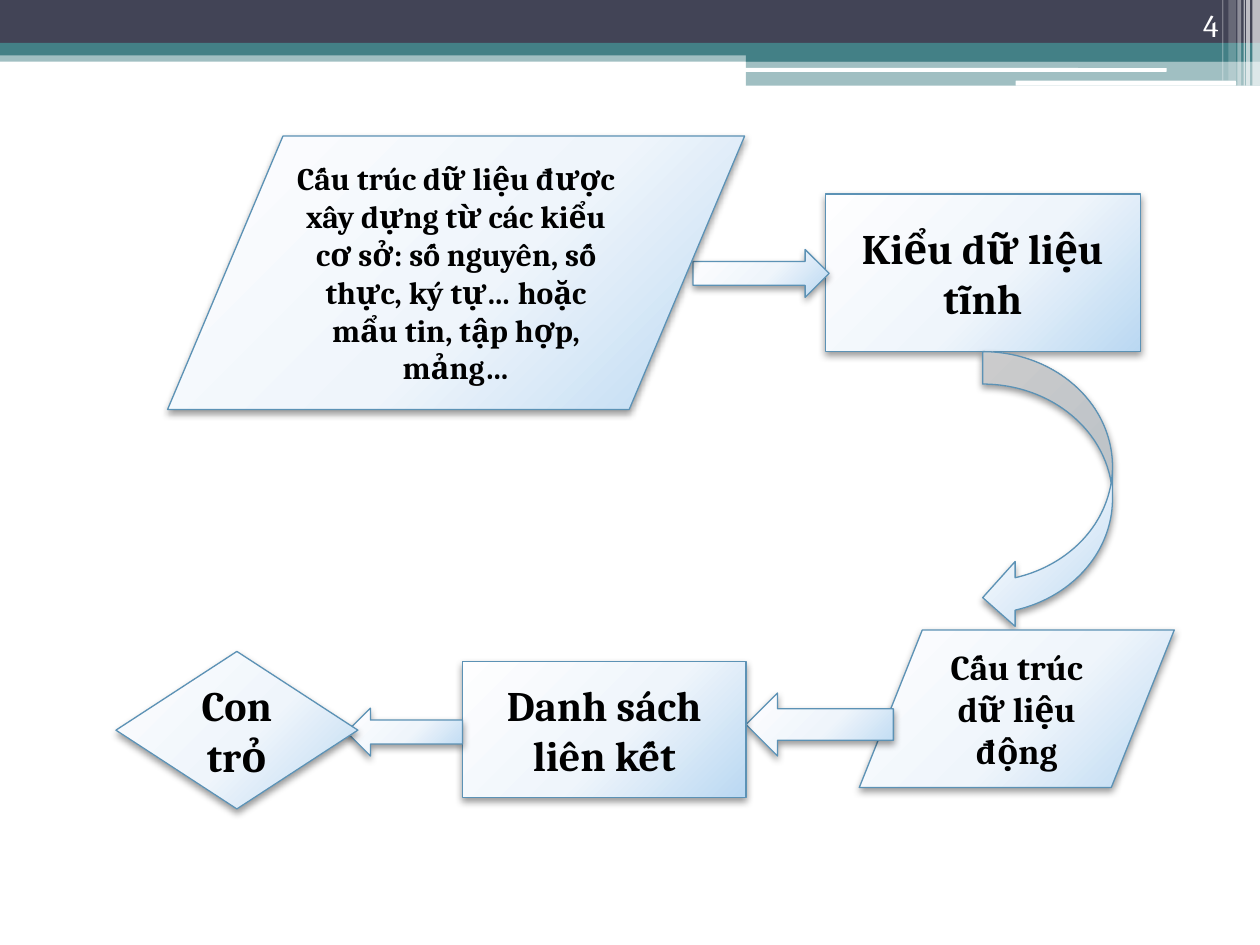
"""Builds a flow slide on static and dynamic data structures."""
import lxml.etree
import pptx
import pptx.dml.color
import pptx.enum.shapes
import pptx.enum.text
import pptx.oxml
import pptx.oxml.ns
import pptx.util

Inches = pptx.util.Inches
Pt = pptx.util.Pt
RGBColor = pptx.dml.color.RGBColor
SHAPE = pptx.enum.shapes.MSO_SHAPE
ALIGN = pptx.enum.text.PP_ALIGN
ANCHOR = pptx.enum.text.MSO_ANCHOR
qn = pptx.oxml.ns.qn

SLATE = RGBColor(0x42, 0x44, 0x56)
TEAL = RGBColor(0x43, 0x80, 0x86)
WHITE = RGBColor(0xFF, 0xFF, 0xFF)
BLACK = RGBColor(0, 0, 0)
OUTLINE = RGBColor(0x5C, 0x92, 0xB5)
GLOW = [(0, RGBColor(0xFE, 0xFE, 0xFF)), (55, RGBColor(0xEF, 0xF5, 0xFB)),
        (100, RGBColor(0xBA, 0xD8, 0xF2))]


class FlowSlide:
    """Holds the style and the current slide."""

    font = "Cambria"

    def __init__(self, slide):
        self.slide = slide

    def add(self, kind, at):
        shape = self.slide.shapes.add_shape(kind, *map(Inches, at))
        shape.shadow.inherit = False
        return shape

    def band(self, at, color, opacity=100, kind=SHAPE.RECTANGLE):
        band = self.add(kind, at)
        band.fill.solid()
        band.fill.fore_color.rgb = color
        band.line.fill.background()
        if opacity < 100:
            tint = band._element.spPr.find(".//" + qn("a:srgbClr"))
            lxml.etree.SubElement(tint, qn("a:alpha"), val=str(opacity * 1000))

    def step(self, kind, at, text="", size=24, rotation=0, flipped=False):
        step = self.add(kind, at)
        step.rotation = rotation
        step.line.color.rgb = OUTLINE
        step.line.width = Pt(0.75)
        properties = step._element.spPr
        if flipped:
            properties.xfrm.set("flipH", "1")
            properties.xfrm.set("flipV", "1")
        self.glow(properties)
        self.drop_shadow(properties)
        if text:
            self.label(step, text, size, BLACK, ALIGN.CENTER, ANCHOR.MIDDLE, True)

    def glow(self, properties):
        stops = "".join(f'<a:gs pos="{place * 1000}"><a:srgbClr val="{color}"/></a:gs>'
                        for place, color in GLOW)
        properties.find(qn("a:prstGeom")).addnext(pptx.oxml.parse_xml(
            f'<a:gradFill {pptx.oxml.ns.nsdecls("a")} rotWithShape="1"><a:gsLst>{stops}</a:gsLst>'
            '<a:path path="circle"><a:fillToRect l="-40000" t="-90000" r="140000" b="190000"/>'
            '</a:path></a:gradFill>'))

    def drop_shadow(self, properties):
        properties.find(qn("a:effectLst")).append(pptx.oxml.parse_xml(
            f'<a:outerShdw {pptx.oxml.ns.nsdecls("a")} blurRad="{Pt(4.1)}" dist="{Pt(2)}" '
            'dir="5400000" rotWithShape="0"><a:srgbClr val="000000"><a:alpha val="40000"/>'
            '</a:srgbClr></a:outerShdw>'))

    def label(self, shape, text, size, color, align, anchor, bold=False):
        frame = shape.text_frame
        frame.word_wrap = True
        frame.vertical_anchor = anchor
        paragraph = frame.paragraphs[0]
        paragraph.text = text
        paragraph.alignment = align
        paragraph.font.name = self.font
        paragraph.font.size = Pt(size)
        paragraph.font.bold = bold
        paragraph.font.color.rgb = color

    def page_number(self, at, text):
        number = self.slide.shapes.add_textbox(*map(Inches, at))
        self.label(number, text, 18, WHITE, ALIGN.RIGHT, ANCHOR.BOTTOM)


def main():
    deck = pptx.Presentation()
    deck.slide_width, deck.slide_height = Inches(10), Inches(7.5)
    flow = FlowSlide(deck.slides.add_slide(deck.slide_layouts[6]))

    flow.band((0, 0.4, 10, 0.09), TEAL, 50)
    flow.band((0, 0, 10, 0.34), SLATE)
    flow.band((0, 0.34, 10, 0.1), TEAL)
    flow.band((5.92, 0.39, 4.08, 0.1), TEAL)
    flow.band((5.92, 0.48, 4.08, 0.2), TEAL, 50)
    flow.band((5.91, 0.54, 3.35, 0.03), WHITE, kind=SHAPE.ROUNDED_RECTANGLE)
    flow.band((8.06, 0.64, 1.75, 0.04), WHITE, kind=SHAPE.ROUNDED_RECTANGLE)
    for left, width, height, opacity in [
            (9.94, 0.06, 0.68, 65), (9.89, 0.03, 0.68, 65), (9.87, 0.01, 0.68, 60),
            (9.82, 0.03, 0.68, 40), (9.75, 0.06, 0.64, 20), (9.7, 0.01, 0.64, 30)]:
        flow.band((left, 0, width, height), WHITE, opacity)

    flow.step(SHAPE.RECTANGLE, (6.55, 1.54, 2.5, 1.25), "Kiểu dữ liệu tĩnh")
    flow.step(SHAPE.RIGHT_ARROW, (5.5, 1.98, 1.08, 0.38))
    flow.step(SHAPE.FLOWCHART_DATA, (1.33, 1.08, 4.58, 2.17),
              "Cấu trúc dữ liệu được xây dựng từ các kiểu cơ sở: số nguyên, số thực, "
              "ký tự… hoặc mẩu tin, tập hợp, mảng…", 18)
    flow.step(SHAPE.CURVED_DOWN_ARROW, (7.21, 3.38, 2.21, 1.03), rotation=270, flipped=True)
    flow.step(SHAPE.FLOWCHART_DATA, (6.82, 5, 2.5, 1.25), "Cấu trúc dữ liệu động", 20)
    flow.step(SHAPE.RIGHT_ARROW, (5.92, 5.5, 1.17, 0.5), rotation=180)
    flow.step(SHAPE.RECTANGLE, (3.67, 5.25, 2.25, 1.08), "Danh sách liên kết")
    flow.step(SHAPE.LEFT_ARROW, (2.75, 5.62, 0.92, 0.38))
    flow.step(SHAPE.DIAMOND, (0.92, 5.17, 1.92, 1.25), "Con trỏ")
    flow.page_number((8.94, 0, 0.83, 0.4), "4")
    deck.save("out.pptx")


if __name__ == "__main__":
    main()
